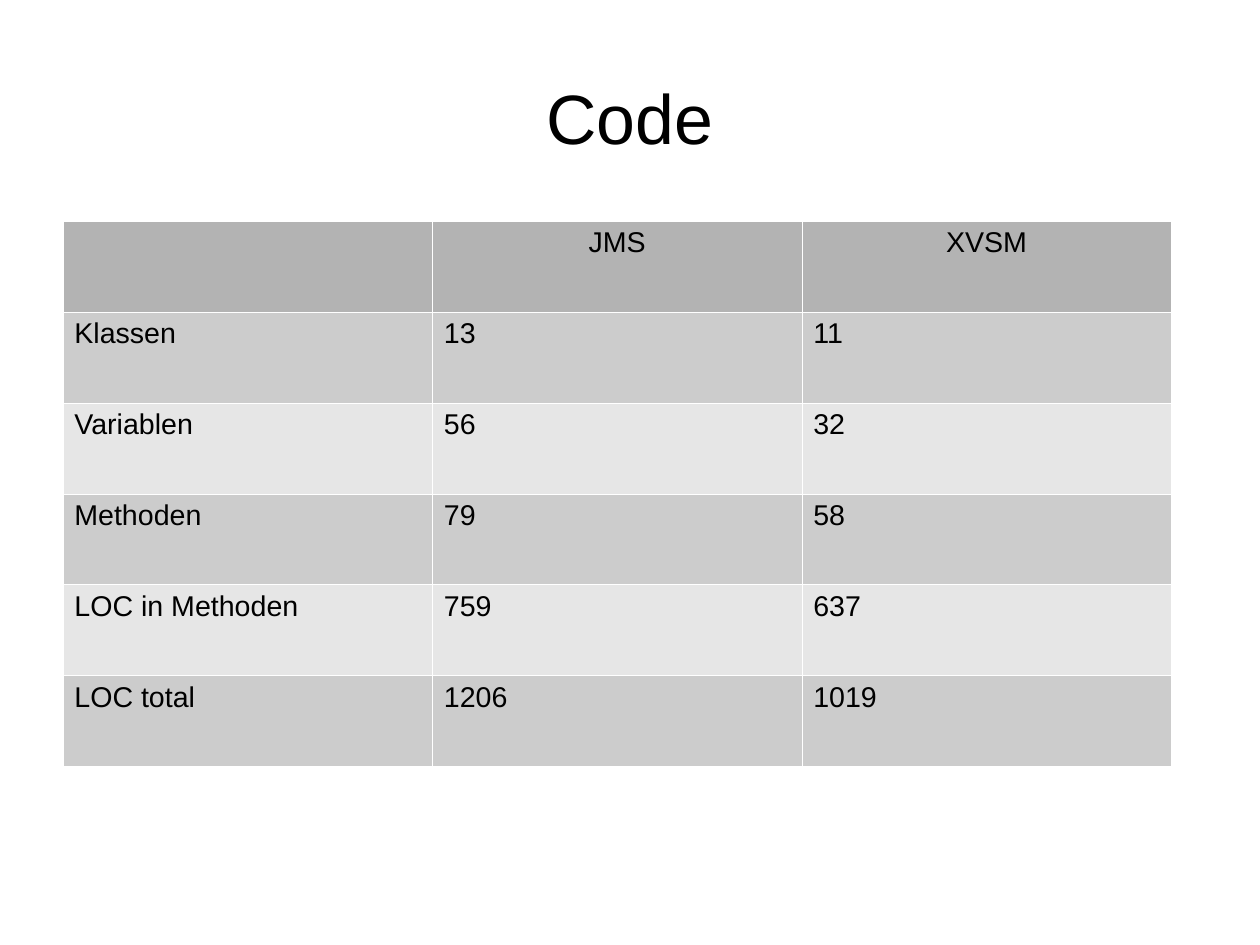
from lxml.etree import SubElement
from pptx import Presentation
from pptx.dml.color import RGBColor
from pptx.enum.text import MSO_ANCHOR as Anchor, PP_ALIGN as Align
from pptx.oxml.ns import qn
from pptx.util import Cm, Pt

# Content
TITLE = "Code"
ROWS = [
    ("", "JMS", "XVSM"),
    ("Klassen", "13", "11"),
    ("Variablen", "56", "32"),
    ("Methoden", "79", "58"),
    ("LOC in Methoden", "759", "637"),
    ("LOC total", "1206", "1019"),
]

# Style
FONT = "Arial"
BLACK = RGBColor(0x00, 0x00, 0x00)
WHITE = RGBColor(0xFF, 0xFF, 0xFF)
HEADER_GRAY = RGBColor(0xB3, 0xB3, 0xB3)
BAND_GRAYS = (RGBColor(0xE6, 0xE6, 0xE6), RGBColor(0xCC, 0xCC, 0xCC))
BORDER_WIDTH = Pt(0.06)
COLUMN_WIDTH, ROW_HEIGHT = Cm(8.21), Cm(2.02)


def write(paragraph, text, size, alignment):
    paragraph.alignment = alignment
    run = paragraph.add_run()
    run.text = text
    run.font.name = FONT
    run.font.size = Pt(size)
    run.font.color.rgb = BLACK


def add_borders(cell):
    properties = cell._tc.get_or_add_tcPr()
    for side in ("a:lnL", "a:lnR", "a:lnT", "a:lnB"):
        line = SubElement(properties, qn(side), w=str(BORDER_WIDTH))
        fill = SubElement(line, qn("a:solidFill"))
        SubElement(fill, qn("a:srgbClr"), val=str(WHITE))


presentation = Presentation()
presentation.slide_width, presentation.slide_height = Cm(28), Cm(21)
slide = presentation.slides.add_slide(presentation.slide_layouts[6])

# Title
title = slide.shapes.add_textbox(Cm(1.4), Cm(0.84), Cm(25.2), Cm(3.51))
frame = title.text_frame
frame.word_wrap = True
frame.vertical_anchor = Anchor.MIDDLE
frame.margin_left = frame.margin_right = frame.margin_top = frame.margin_bottom = 0
write(frame.paragraphs[0], TITLE, 44, Align.CENTER)

# Code metrics table
row_count, column_count = len(ROWS), len(ROWS[0])
table = slide.shapes.add_table(
    row_count, column_count, Cm(1.4), Cm(4.91),
    COLUMN_WIDTH * column_count, ROW_HEIGHT * row_count).table
for column in table.columns:
    column.width = COLUMN_WIDTH
for row_index, values in enumerate(ROWS):
    is_header = row_index == 0
    table.rows[row_index].height = ROW_HEIGHT
    for column_index, value in enumerate(values):
        cell = table.cell(row_index, column_index)
        add_borders(cell)
        cell.fill.solid()
        cell.fill.fore_color.rgb = HEADER_GRAY if is_header else BAND_GRAYS[row_index % 2]
        if value:
            write(cell.text_frame.paragraphs[0], value, 18,
                  Align.CENTER if is_header else Align.LEFT)

presentation.save("out.pptx")
